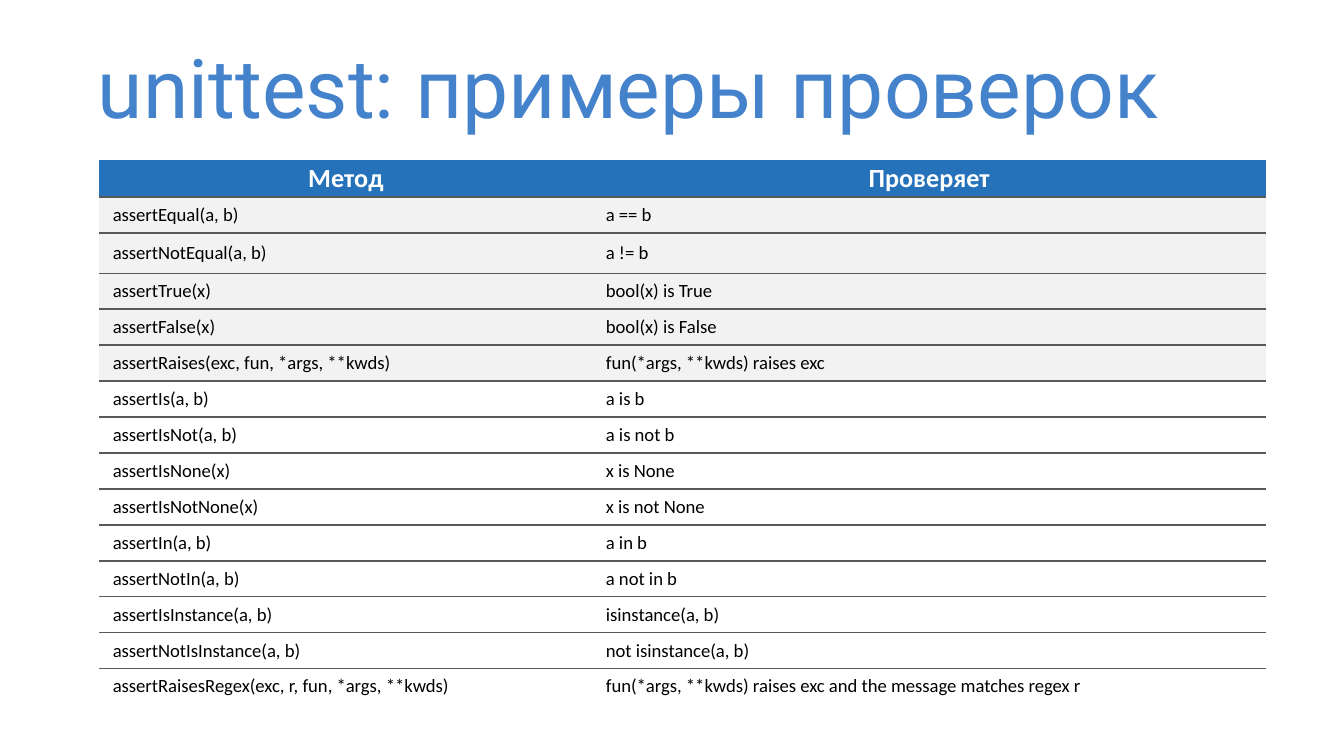
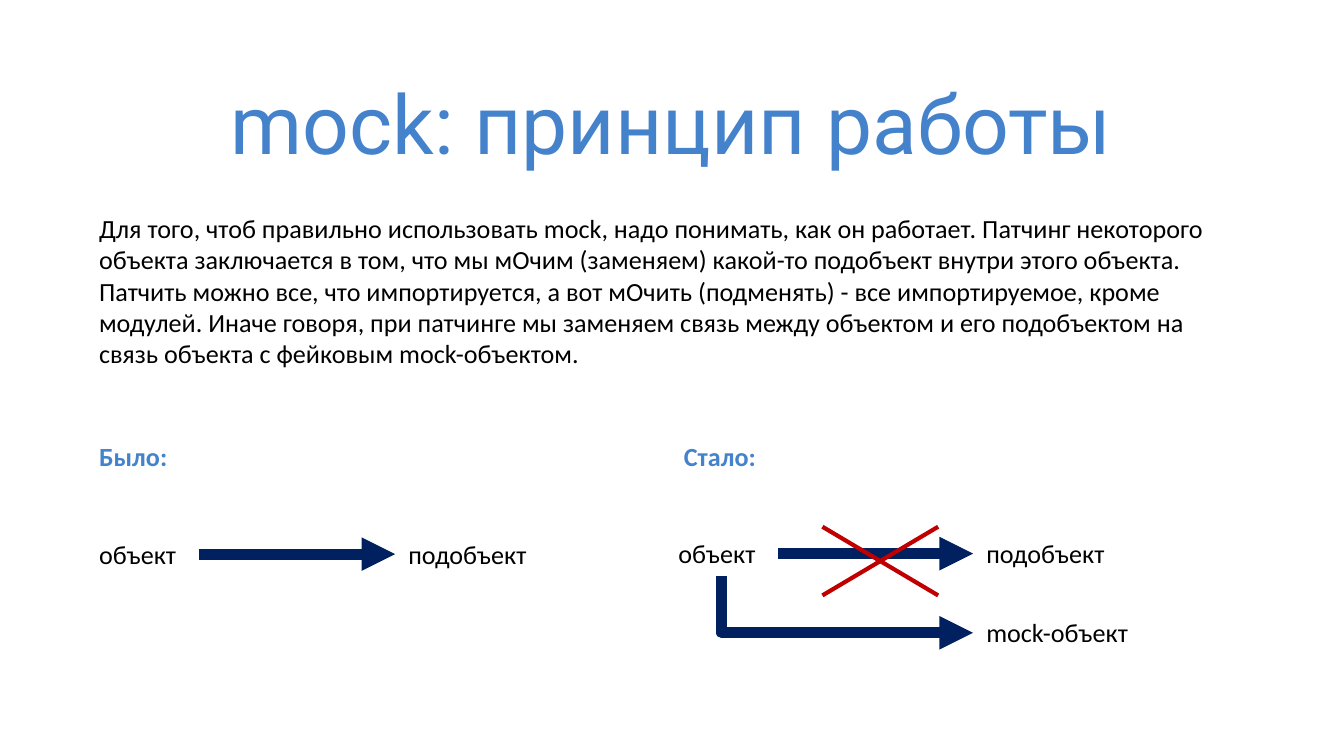
from typing import Any, NamedTuple

import lxml.etree
import pptx
import pptx.dml.color
import pptx.enum.shapes
import pptx.enum.text
import pptx.oxml.ns
import pptx.util

Pt = pptx.util.Pt
qn = pptx.oxml.ns.qn
Align = pptx.enum.text.PP_ALIGN

# Shared look
TITLE_BLUE = "4482CC"
HEADER_BLUE = "2572BB"
ARROW_NAVY = "002060"
CROSS_RED = "C00000"
ROW_GRAY = "F2F2F2"
RULE_GRAY = "595959"
BLACK = "000000"
WHITE = "FFFFFF"
TITLE_FONT = "Roboto"
BODY_FONT = "Calibri"
PLAIN_TABLE = "{2D5ABB26-0587-4C30-8999-92F81FD0307C}"

# Assertion table
HEADER = ("Метод", "Проверяет")
CHECKS = [
    ("assertEqual(a, b)", "a == b"),
    ("assertNotEqual(a, b)", "a != b"),
    ("assertTrue(x)", "bool(x) is True"),
    ("assertFalse(x)", "bool(x) is False"),
    ("assertRaises(exc, fun, *args, **kwds)", "fun(*args, **kwds) raises exc"),
    ("assertIs(a, b)", "a is b"),
    ("assertIsNot(a, b)", "a is not b"),
    ("assertIsNone(x)", "x is None"),
    ("assertIsNotNone(x)", "x is not None"),
    ("assertIn(a, b)", "a in b"),
    ("assertNotIn(a, b)", "a not in b"),
    ("assertIsInstance(a, b)", "isinstance(a, b)"),
    ("assertNotIsInstance(a, b)", "not isinstance(a, b)"),
    ("assertRaisesRegex(exc, r, fun, *args, **kwds)",
     "fun(*args, **kwds) raises exc and the message matches regex r"),
]
SHADED_CHECKS = 5
COLUMN_WIDTHS = (264.2, 360.8)
ROW_HEIGHT = 19
TALL_ROW, TALL_ROW_HEIGHT = 2, 21.6

MOCK_TEXT = (
    "Для того, чтоб правильно использовать mock, надо понимать, как он работает. "
    "Патчинг некоторого объекта заключается в том, что мы мОчим (заменяем) какой-то "
    "подобъект внутри этого объекта. Патчить можно все, что импортируется, а вот "
    "мОчить (подменять) - все импортируемое, кроме модулей. Иначе говоря, при патчинге "
    "мы заменяем связь между объектом и его подобъектом на связь объекта с фейковым "
    "mock-объектом."
)


class Style(NamedTuple):
    font: str
    size: float
    color: str
    bold: bool = False
    align: Any = Align.LEFT


class Label(NamedTuple):
    text: str
    left: float
    top: float
    width: float
    height: float = 24.2


TITLE = Style(TITLE_FONT, 44, TITLE_BLUE)
CENTERED_TITLE = TITLE._replace(align=Align.CENTER)
BODY = Style(BODY_FONT, 14, BLACK)
HEADING = Style(BODY_FONT, 14, TITLE_BLUE, bold=True)
TABLE_HEADER = Style(BODY_FONT, 14, WHITE, bold=True, align=Align.CENTER)
TABLE_BODY = Style(BODY_FONT, 10, BLACK)


def rgb(color: str) -> pptx.dml.color.RGBColor:
    return pptx.dml.color.RGBColor.from_string(color)


def write(frame: Any, text: str, style: Style) -> None:
    paragraph = frame.paragraphs[0]
    paragraph.text = text
    paragraph.alignment = style.align
    font = paragraph.font
    font.name, font.size, font.bold = style.font, Pt(style.size), style.bold
    font.color.rgb = rgb(style.color)


def add_label(shapes: Any, label: Label, style: Style, wrap: bool = False) -> Any:
    box = shapes.add_textbox(Pt(label.left), Pt(label.top), Pt(label.width), Pt(label.height))
    box.text_frame.word_wrap = wrap
    box.text_frame.auto_size = pptx.enum.text.MSO_AUTO_SIZE.SHAPE_TO_FIT_TEXT
    write(box.text_frame, label.text, style)
    return box


def add_line(shapes: Any, start: tuple[float, float], end: tuple[float, float],
             color: str, weight: float, arrow: bool = False) -> Any:
    line = shapes.add_connector(
        pptx.enum.shapes.MSO_CONNECTOR.STRAIGHT,
        Pt(start[0]), Pt(start[1]), Pt(end[0]), Pt(end[1]))
    line.line.color.rgb = rgb(color)
    line.line.width = Pt(weight)
    properties = line._element.spPr
    if arrow:
        lxml.etree.SubElement(properties.find(qn("a:ln")), qn("a:tailEnd"), type="triangle")
    lxml.etree.SubElement(properties, qn("a:effectLst"))
    return line


def add_link(shapes: Any, source: Any, target: Any) -> None:
    """Arrow from the right side of one label to the left side of another."""
    link = add_line(shapes, (0, 0), (0, 0), ARROW_NAVY, 6, arrow=True)
    link.begin_connect(source, 3)
    link.end_connect(target, 1)


def add_bent_arrow(shapes: Any, start: tuple[float, float], end: tuple[float, float]) -> None:
    """Arrow that goes down from start, then right to end."""
    across, down = end[0] - start[0], end[1] - start[1]
    center_x, center_y = (start[0] + end[0]) / 2, (start[1] + end[1]) / 2
    # The outline lies on its side: mirrored, then turned by 270 degrees
    arrow = add_line(
        shapes,
        (center_x + down / 2, center_y - across / 2),
        (center_x - down / 2, center_y + across / 2),
        ARROW_NAVY, 6, arrow=True)
    properties = arrow._element.spPr
    properties.find(qn("a:xfrm")).set("rot", str(270 * 60000))
    properties.find(qn("a:prstGeom")).set("prst", "bentConnector2")


def add_rule(cell: Any, side: str) -> None:
    rule = lxml.etree.SubElement(
        cell._tc.get_or_add_tcPr(), qn(f"a:{side}"), w=str(int(Pt(1))))
    fill = lxml.etree.SubElement(rule, qn("a:solidFill"))
    lxml.etree.SubElement(fill, qn("a:srgbClr"), val=RULE_GRAY)


def fill_cell(cell: Any, text: str, row: int) -> None:
    is_header = row == 0
    cell.vertical_anchor = pptx.enum.text.MSO_ANCHOR.MIDDLE
    if is_header:
        cell.margin_left = cell.margin_right = Pt(1.5)
        cell.margin_top = cell.margin_bottom = Pt(1.5)
    # Rules between rows only; they precede the fill in the cell properties
    if not is_header:
        add_rule(cell, "lnT")
    if row < len(CHECKS):
        add_rule(cell, "lnB")
    if row <= SHADED_CHECKS:
        cell.fill.solid()
        cell.fill.fore_color.rgb = rgb(HEADER_BLUE if is_header else ROW_GRAY)
    else:
        cell.fill.background()
    write(cell.text_frame, text, TABLE_HEADER if is_header else TABLE_BODY)


def add_checks_table(shapes: Any) -> None:
    rows = [HEADER, *CHECKS]
    checks = shapes.add_table(
        len(rows), len(HEADER), Pt(53.2), Pt(85.8),
        Pt(sum(COLUMN_WIDTHS)), Pt(ROW_HEIGHT * len(rows))).table
    checks.first_row = checks.horz_banding = False
    checks._tbl.tblPr.find(qn("a:tableStyleId")).text = PLAIN_TABLE
    for column, width in zip(checks.columns, COLUMN_WIDTHS):
        column.width = Pt(width)
    for row, texts in enumerate(rows):
        checks.rows[row].height = Pt(TALL_ROW_HEIGHT if row == TALL_ROW else ROW_HEIGHT)
        for column, text in enumerate(texts):
            fill_cell(checks.cell(row, column), text, row)


def add_relation(shapes: Any, left: float, top: float, target_left: float) -> None:
    """The object, its subobject and the arrow between them."""
    owner = add_label(shapes, Label("объект", left, top, 60.5), BODY)
    part = add_label(shapes, Label("подобъект", target_left, top, 84.2), BODY)
    add_link(shapes, owner, part)


def build_checks_slide(slide: Any) -> None:
    add_label(slide.shapes, Label("unittest: примеры проверок", 45.4, 15.8, 650, 60.5),
              TITLE, wrap=True)
    add_checks_table(slide.shapes)


def build_mock_slide(slide: Any) -> None:
    shapes = slide.shapes
    add_label(shapes, Label("mock: принцип работы", 74.2, 35.3, 571.7, 60.5),
              CENTERED_TITLE, wrap=True)
    add_label(shapes, Label(MOCK_TEXT, 46, 110.2, 629.3, 92.2), BODY, wrap=True)
    for text, left in (("Было:", 46), ("Стало:", 359.3)):
        add_label(shapes, Label(text, left, 232.6, 57.6), HEADING)

    # Before: object linked to its subobject
    add_relation(shapes.add_group_shape().shapes, 46, 284.8, 211.7)

    # After: that link is crossed out and leads to the mock instead
    after = shapes.add_group_shape().shapes
    add_relation(after, 356.4, 284.5, 521.3)
    add_label(after, Label("mock-объект", 521.3, 326.9, 98.6), BODY)
    add_bent_arrow(after, (386.6, 308.7), (521.3, 339))
    cross_left, cross_right, cross_top, cross_bottom = 440.6, 502.6, 282.2, 319
    add_line(after, (cross_left, cross_top), (cross_right, cross_bottom), CROSS_RED, 2.25)
    add_line(after, (cross_right, cross_top), (cross_left, cross_bottom), CROSS_RED, 2.25)


def main() -> None:
    deck = pptx.Presentation()
    deck.slide_width, deck.slide_height = Pt(720), Pt(405)
    blank = deck.slide_layouts[6]
    for build in (build_checks_slide, build_mock_slide):
        build(deck.slides.add_slide(blank))
    deck.save("out.pptx")


if __name__ == "__main__":
    main()
